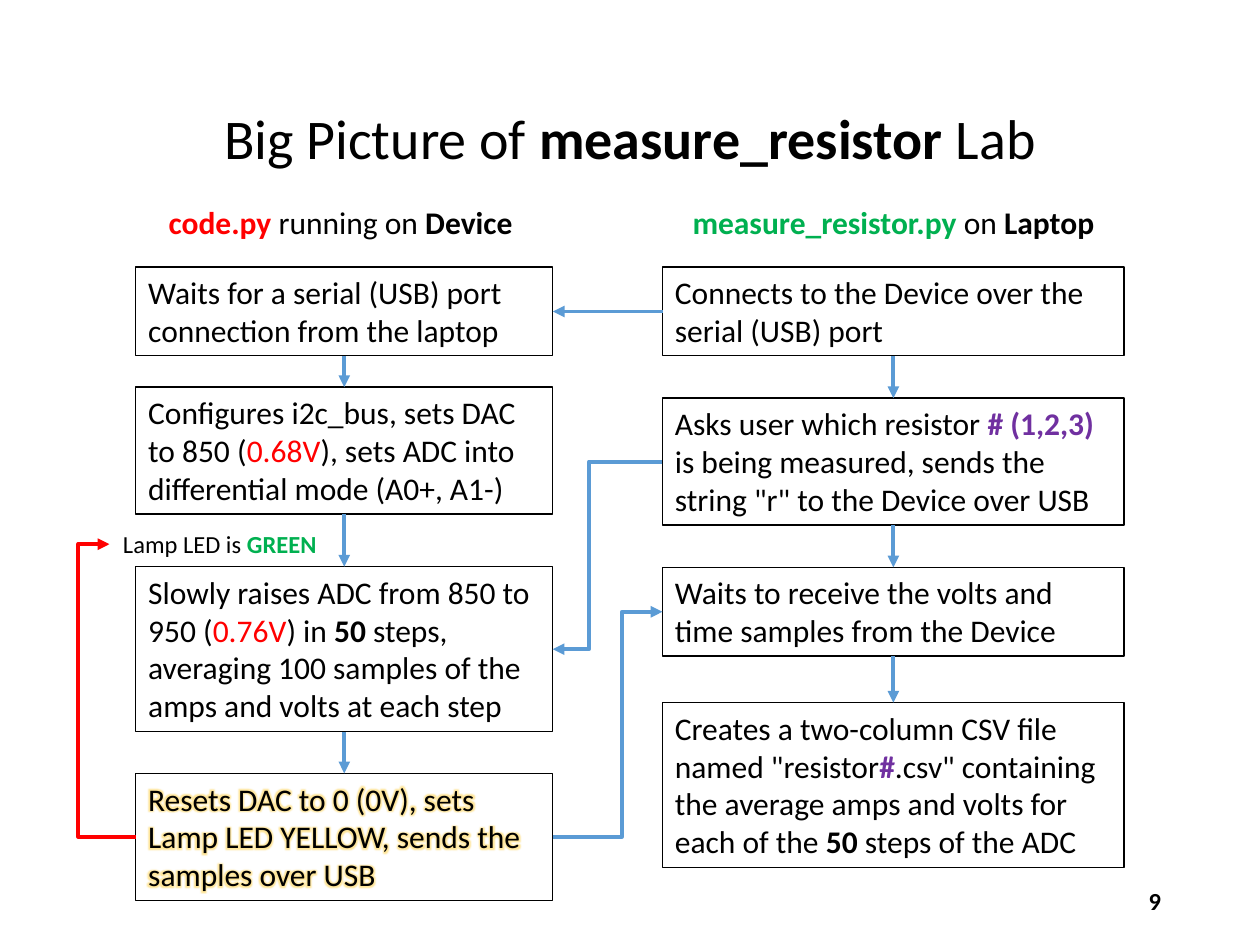
"""Build the two-column flowchart slide for the measure_resistor lab."""
from lxml import etree
from pptx import Presentation
from pptx import util as u
from pptx.dml.color import RGBColor
from pptx.enum import shapes, text
from pptx.oxml import ns

BLACK = RGBColor(0x00, 0x00, 0x00)
RED = RGBColor(0xFF, 0x00, 0x00)
GREEN = RGBColor(0x00, 0xB0, 0x50)
PURPLE = RGBColor(0x70, 0x30, 0xA0)
BLUE = RGBColor(0x5B, 0x9B, 0xD5)
GLOW = RGBColor(0xFF, 0xC0, 0x00)
FONT = "Calibri"
LEFT, CENTER, RIGHT = text.PP_ALIGN.LEFT, text.PP_ALIGN.CENTER, text.PP_ALIGN.RIGHT
TOP, MIDDLE = text.MSO_ANCHOR.TOP, text.MSO_ANCHOR.MIDDLE
LINE_HEIGHT, PADDING = 21.8, 7.2

TITLE = [("Big Picture of ",), ("measure_resistor ", BLACK, True), ("Lab",)]
COLUMNS = [
    {
        "left": 77.6, "width": 238.3, "caption_width": 234,
        "caption": [("code.py ", RED, True), ("running on ",), ("Device", BLACK, True)],
        "steps": [
            (152.6, 2, [("Waits for a serial (USB) port connection from the laptop",)]),
            (221.2, 3, [("Configures i2c_bus, sets DAC to 850 (",), ("0.68V", RED),
                        ("), sets ADC into differential mode (A0+, A1-)",)]),
            (323.8, 4, [("Slowly raises ADC from 850 to 950 (",), ("0.76V", RED),
                        (") in ",), ("50", BLACK, True),
                        (" steps, averaging 100 samples of the amps and volts at each step",)]),
            (441.9, 3, [("Resets DAC to 0 (0V), sets Lamp LED YELLOW, "
                         "sends the samples over USB",)]),
        ],
    },
    {
        "left": 378.6, "width": 263.8, "caption_width": 263.8,
        "caption": [("measure_resistor.py ", GREEN, True), ("on ",), ("Laptop", BLACK, True)],
        "steps": [
            (152.6, 2, [("Connects to the Device over the serial (USB) port",)]),
            (227.5, 3, [("Asks user which resistor ",), ("# (1,2,3)", PURPLE, True),
                        (" is being measured, sends the string \"r\" to the Device over USB",)]),
            (324.2, 2, [("Waits to receive the volts and time samples from the Device",)]),
            (401.5, 4, [("Creates a two-column CSV file named \"resistor",),
                        ("#", PURPLE, True),
                        (".csv\" containing the average amps and volts for each of the ",),
                        ("50", BLACK, True), (" steps of the ADC",)]),
        ],
    },
]
STATUS = [("Lamp LED is ",), ("GREEN", GREEN, True)]
PAGE_NUMBER = [("9", BLACK, True)]


def add_span(para, words, color=BLACK, bold=False):
    span = para.add_run()
    span.text = words
    span.font.color.rgb = color
    span.font.bold = bold


def write(box, spans, size, align=LEFT, anchor=TOP):
    frame = box.text_frame
    frame.word_wrap = True
    frame.auto_size = text.MSO_AUTO_SIZE.NONE
    frame.vertical_anchor = anchor
    para = frame.paragraphs[0]
    para.alignment = align
    para.font.size = u.Pt(size)
    para.font.name = FONT
    for span in spans:
        add_span(para, *span)
    return para


def add_label(page, place, spans, size, align, anchor=TOP):
    box = page.shapes.add_textbox(*map(u.Pt, place))
    write(box, spans, size, align, anchor)
    return box


def add_step(page, left, width, top, lines, spans):
    height = PADDING + LINE_HEIGHT * lines
    box = page.shapes.add_shape(shapes.MSO_SHAPE.RECTANGLE,
                                *map(u.Pt, (left, top, width, height)))
    box.shadow.inherit = False
    box.fill.background()
    box.line.color.rgb = BLACK
    box.line.width = u.Pt(0.75)
    write(box, spans, 18)
    return box


def add_glow(span, color):
    effects = etree.SubElement(span._r.get_or_add_rPr(), ns.qn("a:effectLst"))
    glow = etree.SubElement(effects, ns.qn("a:glow"), rad=str(u.Pt(5)))
    shade = etree.SubElement(glow, ns.qn("a:srgbClr"), val=str(color))
    etree.SubElement(shade, ns.qn("a:alpha"), val="40000")


def add_arrow(page, start, end, color=BLUE, bend=None):
    kind = shapes.MSO_CONNECTOR.STRAIGHT if bend is None else shapes.MSO_CONNECTOR.ELBOW
    arrow = page.shapes.add_connector(kind, *start, *end)
    arrow.line.color.rgb = color
    arrow.line.width = u.Pt(2.25)
    properties = arrow._element.spPr
    etree.SubElement(properties.find(ns.qn("a:ln")), ns.qn("a:tailEnd"), type="triangle")
    etree.SubElement(properties, ns.qn("a:effectLst"))
    if bend is not None:
        guides = properties.find(ns.qn("a:prstGeom")).find(ns.qn("a:avLst"))
        etree.SubElement(guides, ns.qn("a:gd"), name="adj1", fmla=f"val {round(bend * 100000)}")


def side(box, across, down=0.5):
    return int(box.left + box.width * across), int(box.top + box.height * down)


def main():
    deck = Presentation()
    deck.slide_width, deck.slide_height = u.Pt(720), u.Pt(540)
    page = deck.slides.add_slide(deck.slide_layouts[5])

    title = page.shapes.title
    title.left, title.top, title.width, title.height = map(u.Pt, (49.5, 28.8, 621, 104.4))
    write(title, TITLE, 32, CENTER, MIDDLE).line_spacing = 0.9
    add_label(page, (508.5, 500.5, 162, 28.8), PAGE_NUMBER, 14, RIGHT, MIDDLE)

    flows = []
    for column in COLUMNS:
        left, width = column["left"], column["width"]
        add_label(page, (left, 112.5, column["caption_width"], 29), column["caption"], 18, CENTER)
        flow = [add_step(page, left, width, *step) for step in column["steps"]]
        for upper, lower in zip(flow, flow[1:]):
            add_arrow(page, side(upper, 0.5, 1), side(lower, 0.5, 0))
        flows.append(flow)

    board, laptop = flows
    add_glow(board[3].text_frame.paragraphs[0].runs[0], GLOW)
    status = add_label(page, (62.6, 298.9, 126, 24.2), STATUS, 14, CENTER)
    add_arrow(page, side(laptop[0], 0), side(board[0], 1))
    add_arrow(page, side(laptop[1], 0), side(board[2], 1), bend=0.67)
    add_arrow(page, side(board[3], 1), side(laptop[2], 0), bend=0.63)
    add_arrow(page, side(board[3], 0), side(status, 0), RED, bend=2.19)

    deck.save("out.pptx")


if __name__ == "__main__":
    main()
